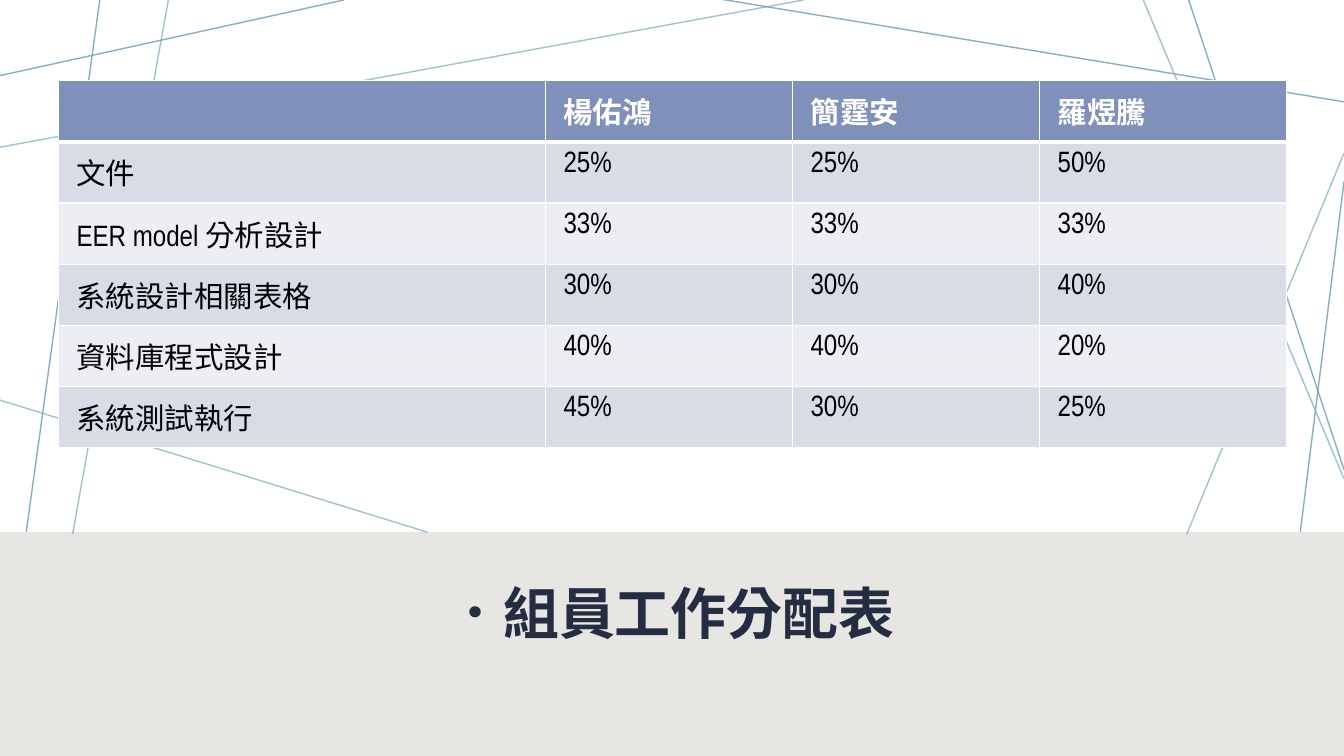
from lxml.etree import SubElement
from pptx import Presentation
from pptx.dml.color import RGBColor
from pptx.enum.lang import MSO_LANGUAGE_ID as Lang
from pptx.enum.shapes import MSO_CONNECTOR as Connector, MSO_SHAPE as Shape
from pptx.enum.text import MSO_ANCHOR as Anchor, PP_ALIGN as Align
from pptx.oxml.ns import qn
from pptx.util import Inches, Pt

# Content
TITLE = "．組員工作分配表"
ROWS = [
    ("", "楊佑鴻", "簡霆安", "羅煜騰"),
    ("文件", "25%", "25%", "50%"),
    ("EER model 分析設計", "33%", "33%", "33%"),
    ("系統設計相關表格", "30%", "30%", "40%"),
    ("資料庫程式設計", "40%", "40%", "20%"),
    ("系統測試執行", "45%", "30%", "25%"),
]
COLORS = {
    "line": "7DA8B9", "band": "E8E6E2", "title": "242D41", "white": "FFFFFF",
    "header": "7F91BA", "odd": "D8DCE7", "even": "ECEEF3", "text": "000000",
}

# Layout in inches
WIDTH, HEIGHT = 13.33, 7.5
BAND_TOP = 5.28
TABLE_LEFT, TABLE_TOP = 0.58, 0.8
COLUMNS = (4.83, 2.45, 2.45, 2.45)
ROW_HEIGHT = 0.607
STRONG, SOFT = 91, 70  # line opacity in percent
BACK_LINES = [
    (3.41, 0, 0, 0.75, STRONG),
    (0.99, 0, 0, 7.16, STRONG),
    (6.83, HEIGHT, -0.05, 6.33, STRONG),
    (WIDTH, 6.4, 9.26, HEIGHT, STRONG),
    (WIDTH, 1.8, 12.62, HEIGHT, STRONG),
    (WIDTH, 4.66, 11.79, 0, STRONG),
    (WIDTH, 1.01, 7.14, -0.01, STRONG),
    (7.97, 0, 0, 1.46, SOFT),
]
FRONT_LINES = [
    (1.67, 0, 0.72, 5.3, SOFT),
    (0, 3.97, 4.24, BAND_TOP, SOFT),
    (WIDTH, 1.52, 11.77, 5.3, SOFT),
    (WIDTH, 4.75, 11.34, 0, SOFT),
]


def color(name):
    return RGBColor.from_string(COLORS[name])


def add_lines(page, lines):
    for *ends, opacity in lines:
        line = page.shapes.add_connector(Connector.STRAIGHT, *map(Inches, ends))
        line.line.width = Pt(1)
        line.line.color.rgb = color("line")
        properties = line.element.spPr
        tint = properties.find(".//" + qn("a:srgbClr"))
        SubElement(tint, qn("a:alpha"), val=str(opacity * 1000))
        SubElement(properties, qn("a:effectLst"))


def write(frame, text, name, size, bold, ink):
    para = frame.paragraphs[0]
    font = para.font
    font.name, font.size, font.bold = name, Pt(size), bold
    font.color.rgb = color(ink)
    span = para.add_run()
    span.text = text
    span.font.language_id = Lang.TRADITIONAL_CHINESE
    return para


def set_borders(cell, bottom):
    properties = cell._tc.get_or_add_tcPr()
    for index, (side, width) in enumerate(
            (("lnL", 1), ("lnR", 1), ("lnT", 1), ("lnB", bottom))):
        border = SubElement(properties, qn("a:" + side), w=str(Pt(width)))
        properties.insert(index, border)
        fill = SubElement(border, qn("a:solidFill"))
        SubElement(fill, qn("a:srgbClr"), val=COLORS["white"])


def add_table(page):
    table = page.shapes.add_table(
        len(ROWS), len(COLUMNS), Inches(TABLE_LEFT), Inches(TABLE_TOP),
        Inches(sum(COLUMNS)), Inches(ROW_HEIGHT * len(ROWS))).table
    for column, width in zip(table.columns, COLUMNS):
        column.width = Inches(width)
    for r, values in enumerate(ROWS):
        table.rows[r].height = Inches(ROW_HEIGHT)
        header = r == 0
        fill = "header" if header else ("even", "odd")[r % 2]
        for c, value in enumerate(values):
            cell = table.cell(r, c)
            cell.fill.solid()
            cell.fill.fore_color.rgb = color(fill)
            cell.margin_left = cell.margin_right = Inches(0.18)
            cell.margin_top = cell.margin_bottom = Inches(0.09)
            set_borders(cell, 3 if header else 1)
            if value:
                write(cell.text_frame, value, "Arial Narrow", 21, header,
                      "white" if header else "text")


def main():
    deck = Presentation()
    deck.slide_width, deck.slide_height = Inches(WIDTH), Inches(HEIGHT)
    page = deck.slides.add_slide(deck.slide_layouts[5])

    # Background lines and bottom band
    add_lines(page, BACK_LINES)
    band = page.shapes.add_shape(
        Shape.RECTANGLE, 0, Inches(BAND_TOP), Inches(WIDTH), Inches(2.25))
    band.shadow.inherit = False
    band.fill.solid()
    band.fill.fore_color.rgb = color("band")
    band.line.fill.background()

    # Title, raised above the band
    title = page.shapes.title
    page.shapes.element.append(title.element)
    title.left, title.top, title.width, title.height = map(
        Inches, (1.13, 5.72, 11.05, 0.74))
    title.text_frame.vertical_anchor = Anchor.BOTTOM
    heading = write(title.text_frame, TITLE, "Arial", 40, True, "title")
    heading.alignment = Align.CENTER
    heading.line_spacing = 0.9

    # Remaining lines and the work table
    add_lines(page, FRONT_LINES)
    add_table(page)
    deck.save("out.pptx")


if __name__ == "__main__":
    main()
